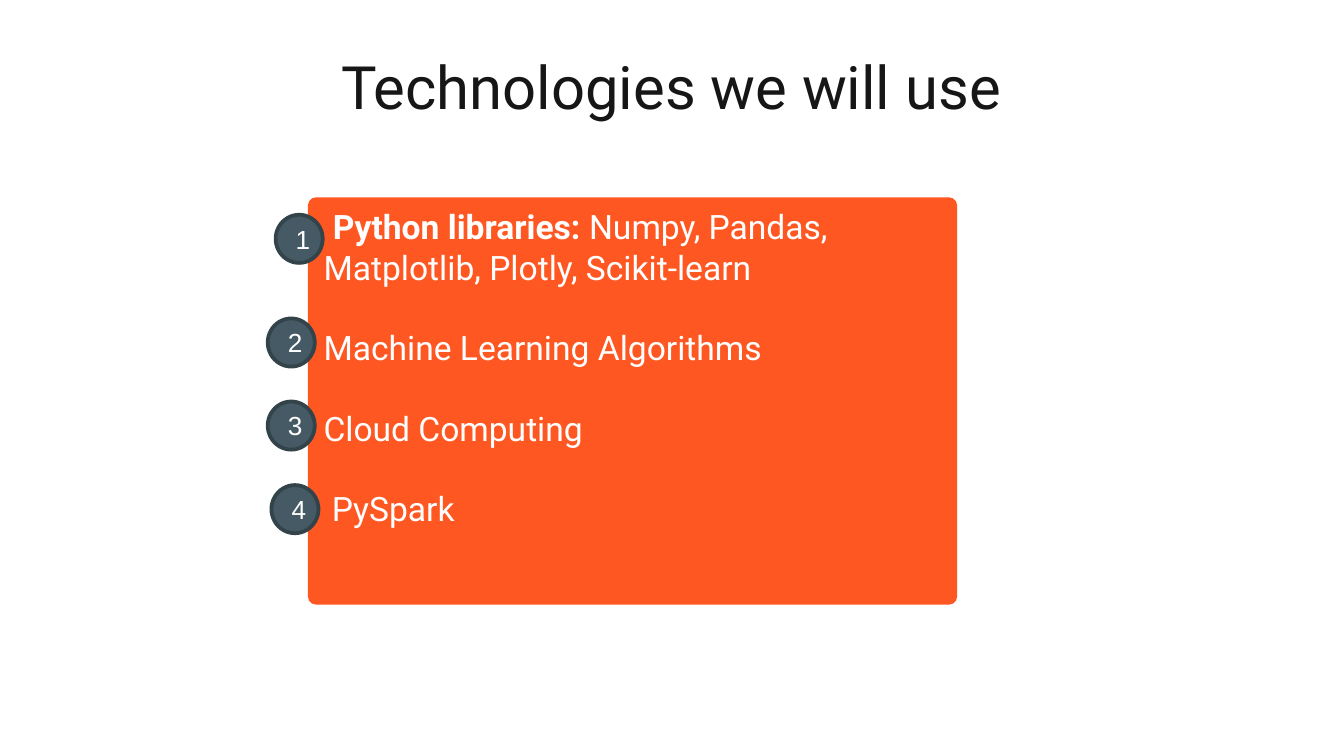
import pptx
import pptx.dml.color
import pptx.enum.shapes
import pptx.enum.text
import pptx.util
from pptx.util import Cm

ITEMS = [
    [(" ", "Arial", True), ("Python libraries: ", "Roboto", True),
     ("Numpy, Pandas, Matplotlib, Plotly, Scikit-learn", "Roboto", False)],
    [("Machine Learning Algorithms", "Roboto", False)],
    [("Cloud Computing", "Roboto", False)],
    [(" PySpark", "Roboto", False)],
]
BADGE_OFFSETS = [(-0.61, 0.33), (-0.76, 2.29), (-0.76, 3.86), (-0.69, 5.44)]


def color(hex_string):
    return pptx.dml.color.RGBColor.from_string(hex_string)


def add_run(paragraph, text, font_name, size, hex_string, bold=False):
    run = paragraph.add_run()
    run.text = text
    run.font.name = font_name
    run.font.size = pptx.util.Pt(size)
    run.font.bold = bold
    run.font.color.rgb = color(hex_string)


def add_filled_shape(slide, kind, box, fill):
    shape = slide.shapes.add_shape(kind, *(Cm(length) for length in box))
    shape.shadow.inherit = False
    shape.fill.solid()
    shape.fill.fore_color.rgb = color(fill)
    return shape


def place_title(slide, box, text):
    title = slide.shapes.title
    title.left, title.top, title.width, title.height = (Cm(length) for length in box)
    frame = title.text_frame
    frame.margin_left = frame.margin_right = frame.margin_top = frame.margin_bottom = 0
    frame.vertical_anchor = pptx.enum.text.MSO_ANCHOR.MIDDLE
    paragraph = frame.paragraphs[0]
    paragraph.alignment = pptx.enum.text.PP_ALIGN.CENTER
    add_run(paragraph, text, "Roboto", 32, "161616")


def place_card(slide, box, items):
    card = add_filled_shape(
        slide, pptx.enum.shapes.MSO_SHAPE.ROUNDED_RECTANGLE, box, "FF5722")
    card.adjustments[0] = 0.02
    card.line.fill.background()
    frame = card.text_frame
    frame.word_wrap = True
    frame.vertical_anchor = pptx.enum.text.MSO_ANCHOR.TOP
    for index, runs in enumerate(items):
        paragraph = frame.add_paragraph() if index else frame.paragraphs[0]
        paragraph.alignment = pptx.enum.text.PP_ALIGN.LEFT
        paragraph.space_before = pptx.util.Pt(21.5 if index else 0)
        for text, font_name, bold in runs:
            add_run(paragraph, text, font_name, 18, "FFFFFF", bold)


def place_badges(slide, box, offsets):
    left, top = box[:2]
    for number, (across, down) in enumerate(offsets, start=1):
        badge = add_filled_shape(
            slide, pptx.enum.shapes.MSO_SHAPE.OVAL,
            (left + across, top + down, 0.89, 0.91), "455A64")
        badge.line.color.rgb = color("33434A")
        badge.line.width = pptx.util.Pt(2)
        badge.text_frame.vertical_anchor = pptx.enum.text.MSO_ANCHOR.MIDDLE
        paragraph = badge.text_frame.paragraphs[0]
        paragraph.alignment = pptx.enum.text.PP_ALIGN.CENTER
        add_run(paragraph, str(number), "Arial", 14, "FFFFFF")


def main():
    presentation = pptx.Presentation()
    presentation.slide_width = Cm(25.4)
    presentation.slide_height = Cm(14.29)
    slide = presentation.slides.add_slide(presentation.slide_layouts.get_by_name("Title Only"))
    card_box = (5.82, 3.73, 12.27, 7.7)
    place_title(slide, (1.07, 0.94, 23.24, 1.37), "Technologies we will use")
    place_card(slide, card_box, ITEMS)
    place_badges(slide, card_box, BADGE_OFFSETS)
    presentation.save("out.pptx")


if __name__ == "__main__":
    main()
